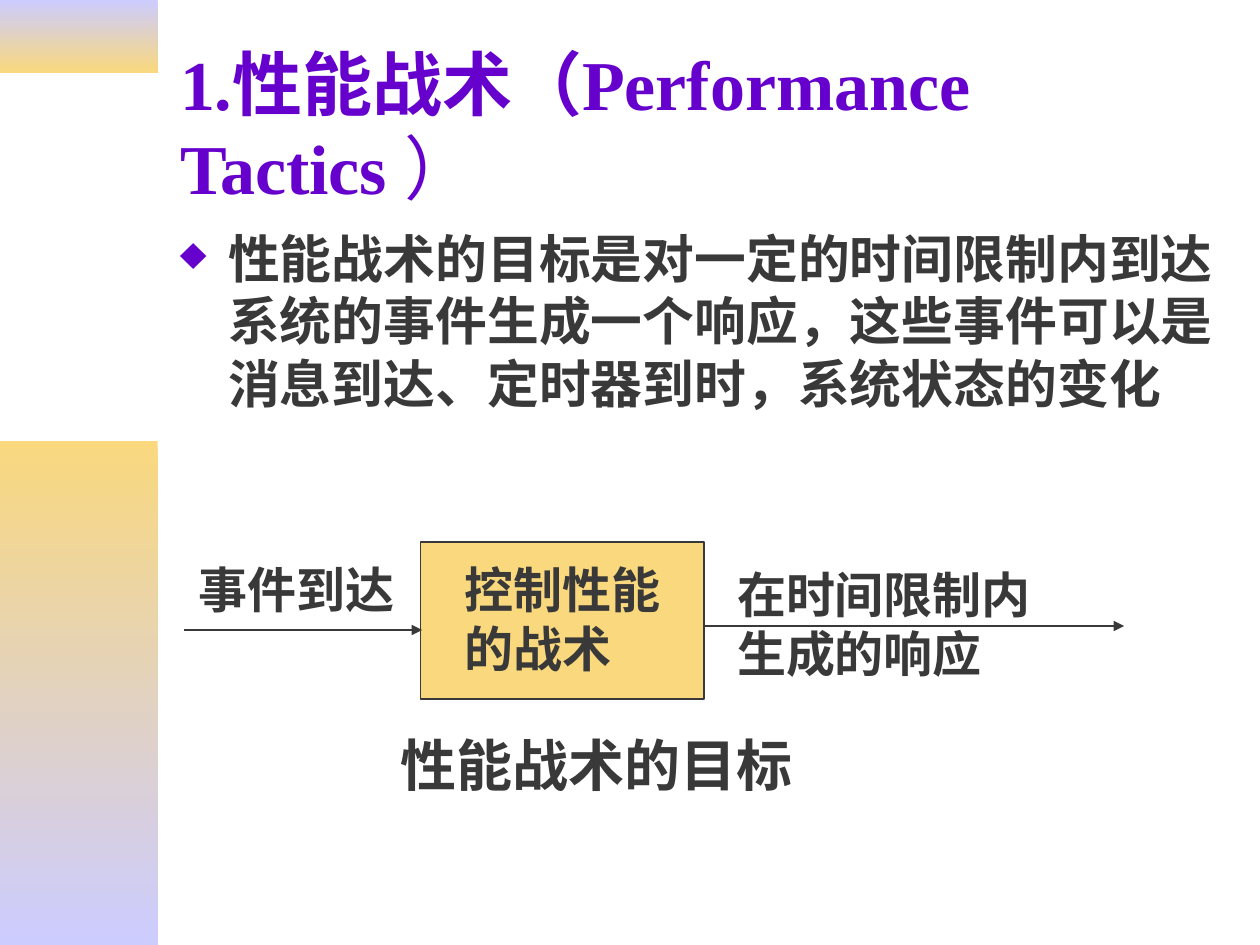
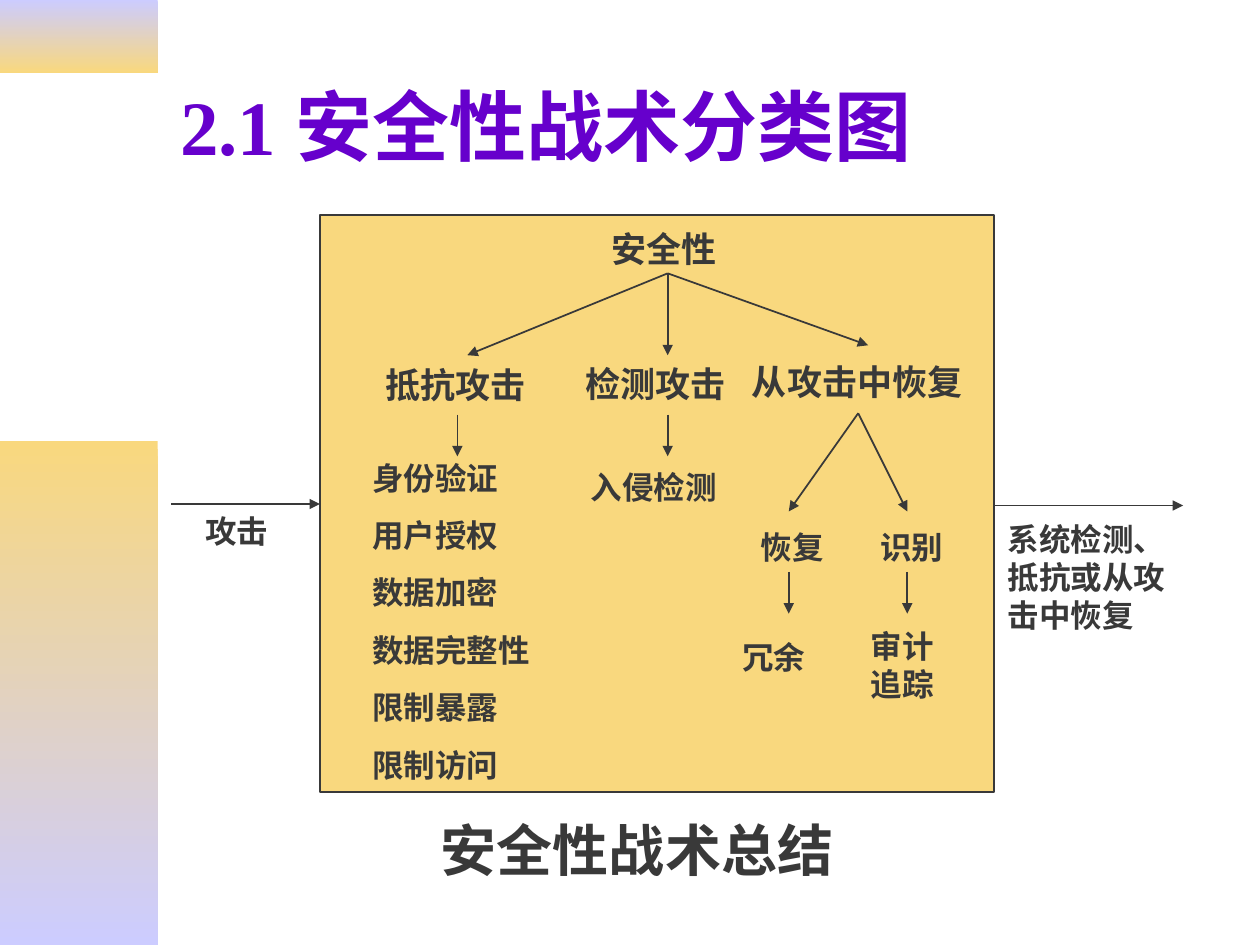
"""Build two slides on software architecture tactics: performance and security."""
from lxml import etree
from pptx import Presentation
from pptx import util as u
from pptx.dml import color
from pptx.enum import shapes, text
from pptx.oxml import ns

COLORS = {"violet": "6600CC", "ink": "393939", "sand": "F9D87E", "lilac": "CCCCFF"}
RGB = {name: color.RGBColor.from_string(value) for name, value in COLORS.items()}
FONT = "Times New Roman"


def add_text(slide, lines, left, top, width, height, size, ink="ink"):
    box = slide.shapes.add_textbox(u.Cm(left), u.Cm(top), u.Cm(width), u.Cm(height))
    frame = box.text_frame
    frame.word_wrap = True
    frame.text = "\n".join(lines)
    for number, paragraph in enumerate(frame.paragraphs):
        if number:
            paragraph.space_before = u.Pt(11.2)
        paragraph.font.name = FONT
        paragraph.font.size = u.Pt(size)
        paragraph.font.bold = True
        paragraph.font.color.rgb = RGB[ink]
    return frame


def add_arrow(slide, x1, y1, x2, y2):
    arrow = slide.shapes.add_connector(
        shapes.MSO_CONNECTOR.STRAIGHT, u.Cm(x1), u.Cm(y1), u.Cm(x2), u.Cm(y2))
    arrow.line.color.rgb = RGB["ink"]
    arrow.line.width = u.Pt(1)
    etree.SubElement(arrow.line._get_or_add_ln(), ns.qn("a:tailEnd"), type="triangle")
    etree.SubElement(arrow._element.spPr, ns.qn("a:effectLst"))


presentation = Presentation()
presentation.slide_width = u.Cm(25.4)
presentation.slide_height = u.Cm(19.05)

bands = [(0, 1.47, "lilac", "sand"), (8.89, 10.16, "sand", "lilac")]
system_boxes = [(8.48, 10.92, 5.72, 3.18), (6.45, 4.34, 13.59, 11.63)]
titles = [("1.性能战术（Performance Tactics ", 40), ("2.1 安全性战术分类图", 44)]
captions = [("性能战术的目标", 7.82, 14.61), ("安全性战术总结", 8.64, 16.31)]
slides = []
title_frames = []

for (title, title_size), system_box, caption in zip(titles, system_boxes, captions):
    slide = presentation.slides.add_slide(presentation.slide_layouts[6])
    slides.append(slide)
    for top, height, upper, lower in bands:
        band = slide.shapes.add_shape(
            shapes.MSO_SHAPE.RECTANGLE, 0, u.Cm(top), u.Cm(3.18), u.Cm(height))
        band.shadow.inherit = False
        band.line.fill.background()
        band.fill.gradient()
        band.fill.gradient_angle = 270
        for stop, name in zip(band.fill.gradient_stops, (upper, lower)):
            stop.color.rgb = RGB[name]

    frame = add_text(slide, [title], 3.38, 0.84, 21.59, 3.35, title_size, "violet")
    frame.vertical_anchor = text.MSO_ANCHOR.MIDDLE
    title_frames.append(frame)

    system = slide.shapes.add_shape(
        shapes.MSO_SHAPE.RECTANGLE, *[u.Cm(length) for length in system_box])
    system.shadow.inherit = False
    system.fill.solid()
    system.fill.fore_color.rgb = RGB["sand"]
    system.line.color.rgb = RGB["ink"]
    system.line.width = u.Pt(1)

    wording, left, top = caption
    add_text(slide, [wording], left, top, 9.96, 1.63, 32)

performance, security = slides

closing = title_frames[0].paragraphs[0].add_run()
closing.text = "）"
closing.font.bold = False

goal = add_text(
    performance,
    ["性能战术的目标是对一定的时间限制内到达系统的事件生成一个响应，"
     "这些事件可以是消息到达、定时器到时，系统状态的变化"],
    3.38, 4.45, 21.59, 5.49, 29.6)
properties = goal.paragraphs[0]._p.get_or_add_pPr()
properties.set("marL", str(u.Cm(0.97)))
properties.set("indent", str(-u.Cm(0.97)))
bullet_color = etree.Element(ns.qn("a:buClr"))
etree.SubElement(bullet_color, ns.qn("a:srgbClr"), val=COLORS["violet"])
properties.insert(0, bullet_color)
properties.insert(1, etree.Element(ns.qn("a:buSzPct"), val="90000"))
properties.insert(2, etree.Element(ns.qn("a:buChar"), char="♦"))

for wording, left, top, width, height in [
    ("事件到达", 3.76, 11.15, 4.75, 1.45),
    ("控制性能的战术", 9.12, 11.15, 4.65, 2.64),
    ("在时间限制内生成的响应", 14.61, 11.25, 6.78, 2.64),
]:
    add_text(performance, [wording], left, top, width, height, 28)
add_arrow(performance, 3.71, 12.7, 8.51, 12.7)
add_arrow(performance, 14.2, 12.62, 22.66, 12.62)

for wording, left, top, width in [
    ("安全性", 12.07, 4.47, 2.84),
    ("抵抗攻击", 7.52, 7.21, 3.84),
    ("检测攻击", 11.56, 7.19, 3.84),
    ("从攻击中恢复", 14.91, 7.14, 4.8),
]:
    add_text(security, [wording], left, top, width, 1.12, 20)

resist_tactics = ["身份验证", "用户授权", "数据加密", "数据完整性", "限制暴露", "限制访问"]
for lines, left, top, width, height in [
    (["攻击"], 3.89, 10.19, 2.57, 1.02),
    (["系统检测、抵抗或从攻击中恢复"], 20.07, 10.36, 3.84, 2.54),
    (resist_tactics, 7.26, 9.12, 3.84, 6.81),
    (["入侵检测"], 11.66, 9.32, 3.61, 1.02),
    (["恢复"], 15.09, 10.52, 2.41, 1.02),
    (["识别"], 17.5, 10.52, 1.82, 1.02),
    (["冗余"], 14.71, 12.73, 2.59, 1.02),
    (["审计追踪"], 17.3, 12.52, 2.01, 1.78),
]:
    add_text(security, lines, left, top, width, height, 18)

add_arrow(security, 3.45, 10.16, 6.45, 10.16)
add_arrow(security, 20.05, 10.19, 23.85, 10.19)
for x, y in [(9.42, 7.16), (13.46, 7.16), (17.5, 6.96)]:
    add_arrow(security, 13.46, 5.51, x, y)
for x in (9.22, 13.46):
    add_arrow(security, x, 8.36, x, 9.2)
for x in (15.9, 18.29):
    add_arrow(security, 17.3, 8.33, x, 10.31)
    add_arrow(security, x, 11.53, x, 12.37)

presentation.save("out.pptx")
